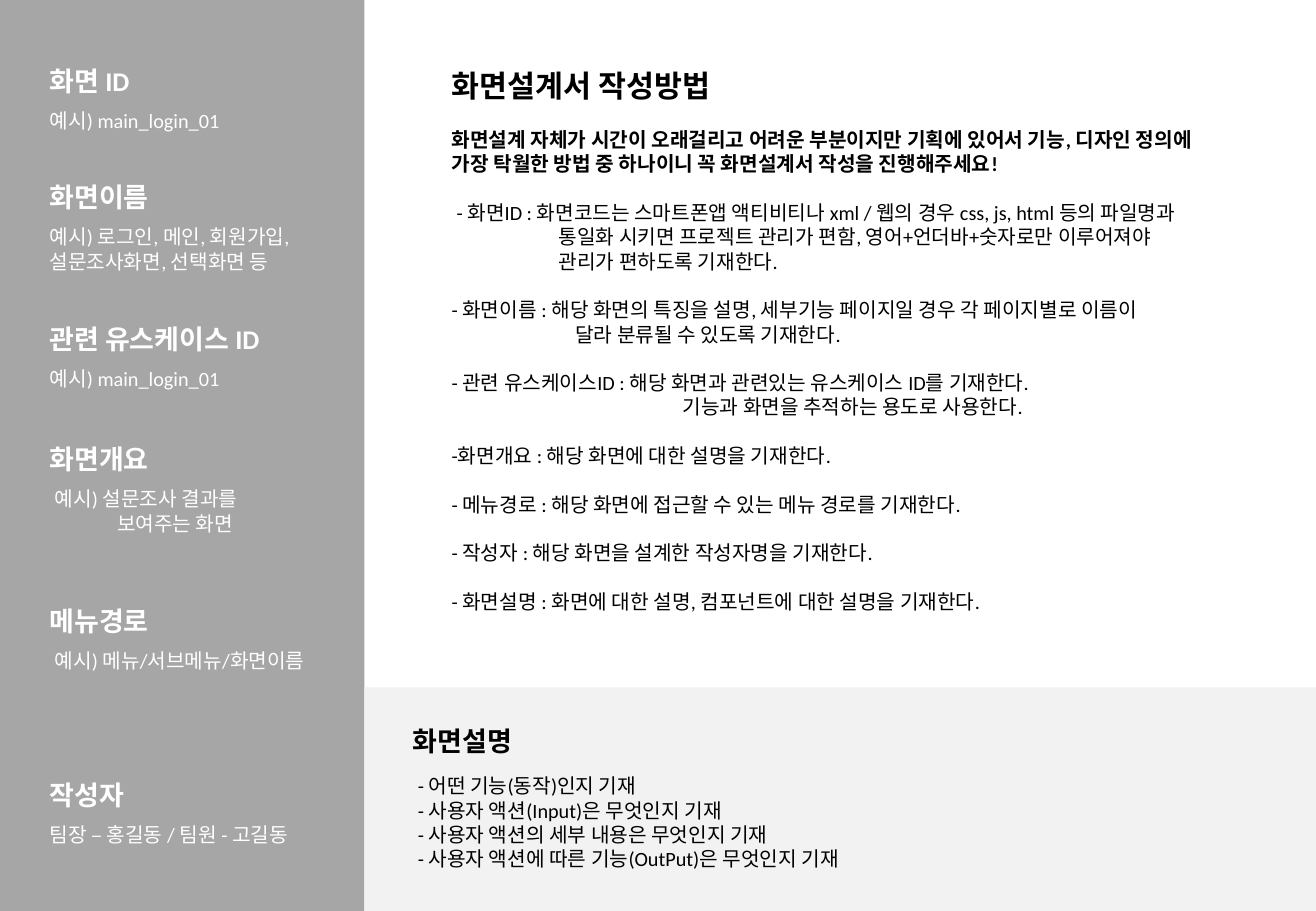
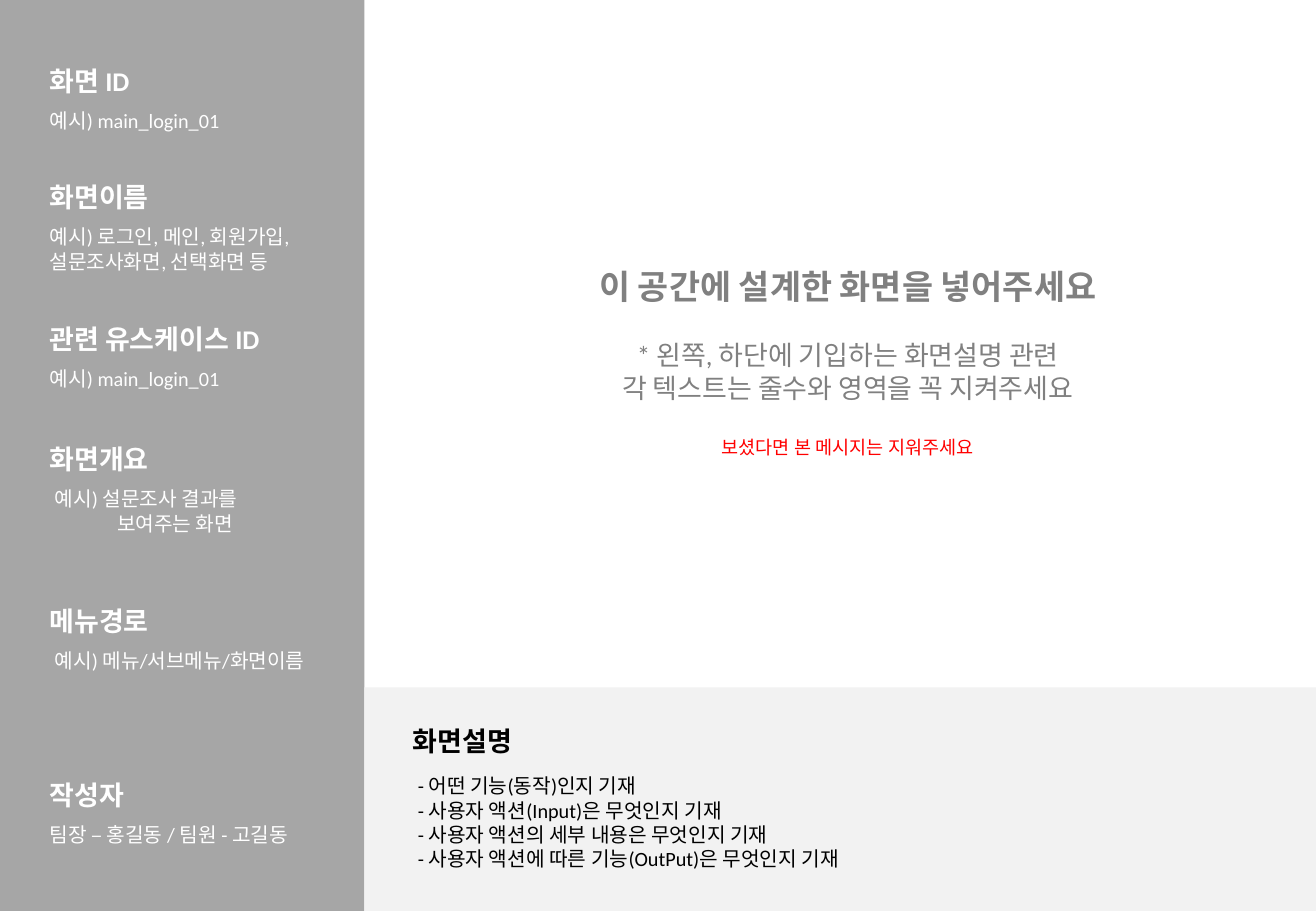
import pptx
import pptx.util
import pptx.dml.color
import pptx.enum.shapes
import pptx.enum.text

Pt = pptx.util.Pt
RGB = pptx.dml.color.RGBColor
ALIGN = pptx.enum.text.PP_ALIGN

WHITE = RGB(0xFF, 0xFF, 0xFF)
BLACK = RGB(0, 0, 0)
GRAY = RGB(0x80, 0x80, 0x80)
RED = RGB(0xFF, 0, 0)
SIDE = RGB(0xA6, 0xA6, 0xA6)
FOOT = RGB(0xF2, 0xF2, 0xF2)
FONT = "Calibri"

WIDE, HIGH = 780, 540
SIDE_W = 216
FOOT_Y = 407.5
LEFT = 22.3
HEAD, BODY = 16, 12
BODY_DY = 26  # from a heading's top to its lines
PITCH = 1.2  # line height per point of text size
INSET = 7.2
STEP = 3  # indent of slightly inset lines
GAP = BODY * PITCH  # one body line

# Sidebar: top, heading, lines as (text, indent)
FIELDS = [
    (34.4, "화면 ID", [("예시) main_login_01", 0)]),
    (103.7, "화면이름", [("예시) 로그인, 메인, 회원가입,", 0),
                     ("설문조사화면, 선택화면 등", 0)]),
    (187.7, "관련 유스케이스 ID", [("예시) main_login_01", 0)]),
    (259, "화면개요", [("예시) 설문조사 결과를", STEP), ("보여주는 화면", 40)]),
    (355, "메뉴경로", [("예시) 메뉴/서브메뉴/화면이름", STEP)]),
    (458, "작성자", [("팀장 – 홍길동 / 팀원 - 고길동", 0)]),
]

NOTES_HEAD = "화면설명"
NOTES = [
    "- 어떤 기능(동작)인지 기재",
    "- 사용자 액션(Input)은 무엇인지 기재",
    "- 사용자 액션의 세부 내용은 무엇인지 기재",
    "- 사용자 액션에 따른 기능(OutPut)은 무엇인지 기재",
]

GUIDE_HEAD = "화면설계서 작성방법"
GUIDE_LEAD = ("화면설계 자체가 시간이 오래걸리고 어려운 부분이지만 기획에 있어서 기능, "
              "디자인 정의에 가장 탁월한 방법 중 하나이니 꼭 화면설계서 작성을 진행해주세요!")
# Guide items: first indent, indent of further lines, lines
GUIDE = [
    (STEP, 63.5, ["- 화면ID : 화면코드는 스마트폰앱 액티비티나 xml / 웹의 경우 css, js, html 등의 파일명과",
                  "통일화 시키면 프로젝트 관리가 편함, 영어+언더바+숫자로만 이루어져야",
                  "관리가 편하도록 기재한다."]),
    (0, 73.3, ["- 화면이름 : 해당 화면의 특징을 설명, 세부기능 페이지일 경우 각 페이지별로 이름이",
               "달라 분류될 수 있도록 기재한다."]),
    (0, 137, ["- 관련 유스케이스ID : 해당 화면과 관련있는 유스케이스 ID를 기재한다.",
              "기능과 화면을 추적하는 용도로 사용한다."]),
    (0, 0, ["-화면개요 : 해당 화면에 대한 설명을 기재한다."]),
    (0, 0, ["- 메뉴경로 : 해당 화면에 접근할 수 있는 메뉴 경로를 기재한다."]),
    (0, 0, ["- 작성자 : 해당 화면을 설계한 작성자명을 기재한다."]),
    (0, 0, ["- 화면설명 : 화면에 대한 설명, 컴포넌트에 대한 설명을 기재한다."]),
]

PROMPT = [
    dict(text="이 공간에 설계한 화면을 넣어주세요", size=20, bold=True),
    dict(text="* 왼쪽, 하단에 기입하는 화면설명 관련", size=16, gap=16 * PITCH),
    dict(text="각 텍스트는 줄수와 영역을 꼭 지켜주세요", size=16),
    dict(text="보셨다면 본 메시지는 지워주세요", size=11, color=RED, gap=16 * PITCH),
]


def band(slide, x, y, w, h, color):
    shape = slide.shapes.add_shape(
        pptx.enum.shapes.MSO_SHAPE.RECTANGLE, Pt(x), Pt(y), Pt(w), Pt(h))
    shape.shadow.inherit = False
    shape.fill.solid()
    shape.fill.fore_color.rgb = color
    shape.line.fill.background()


def write(slide, x, y, w, h, lines, color, align=ALIGN.LEFT):
    """Add a text box; each line is a dict of text and its own format."""
    frame = slide.shapes.add_textbox(Pt(x), Pt(y), Pt(w), Pt(h)).text_frame
    frame.word_wrap = True
    for i, line in enumerate(lines):
        para = frame.add_paragraph() if i else frame.paragraphs[0]
        para.text = line["text"]
        para.alignment = align
        para.space_before = Pt(line.get("gap", 0))
        if line.get("indent"):
            para._p.get_or_add_pPr().set("marL", str(Pt(line["indent"])))
        font = para.runs[0].font
        font.name = FONT
        font.size = Pt(line.get("size", BODY))
        font.bold = line.get("bold", False)
        font.color.rgb = line.get("color", color)


def title(slide, x, y, w, text, color, size=HEAD):
    write(slide, x, y, w, size * PITCH + INSET,
          [dict(text=text, size=size, bold=True)], color)


def listing(slide, x, y, w, pairs, color):
    write(slide, x, y, w, len(pairs) * GAP + INSET,
          [dict(text=text, indent=indent) for text, indent in pairs], color)


def frame_slide(deck):
    """Add a slide with the sidebar and the notes band."""
    slide = deck.slides.add_slide(deck.slide_layouts[6])
    band(slide, 0, 0, SIDE_W, HIGH, SIDE)
    band(slide, SIDE_W, FOOT_Y, WIDE - SIDE_W, HIGH - FOOT_Y, FOOT)
    for top, head, pairs in FIELDS:
        title(slide, LEFT, top, 187, head, WHITE)
        listing(slide, LEFT, top + BODY_DY, 187, pairs, WHITE)
    title(slide, 237.6, 426, 187, NOTES_HEAD, BLACK)
    listing(slide, 237.6, 455, 423, [(note, STEP) for note in NOTES], BLACK)
    return slide


def main():
    deck = pptx.Presentation()
    deck.slide_width, deck.slide_height = Pt(WIDE), Pt(HIGH)

    slide = frame_slide(deck)
    title(slide, 260.6, 36, 300, GUIDE_HEAD, BLACK, 18)
    lines = [dict(text=GUIDE_LEAD, bold=True)]
    for first, rest, texts in GUIDE:
        for i, text in enumerate(texts):
            lines.append(dict(text=text, indent=rest if i else first,
                              gap=0 if i else GAP))
    write(slide, 260.6, 72, 475, 298, lines, BLACK)

    slide = frame_slide(deck)
    write(slide, 334.8, 154, 335.5, 126, PROMPT, GRAY, ALIGN.CENTER)
    deck.save("out.pptx")


if __name__ == "__main__":
    main()
